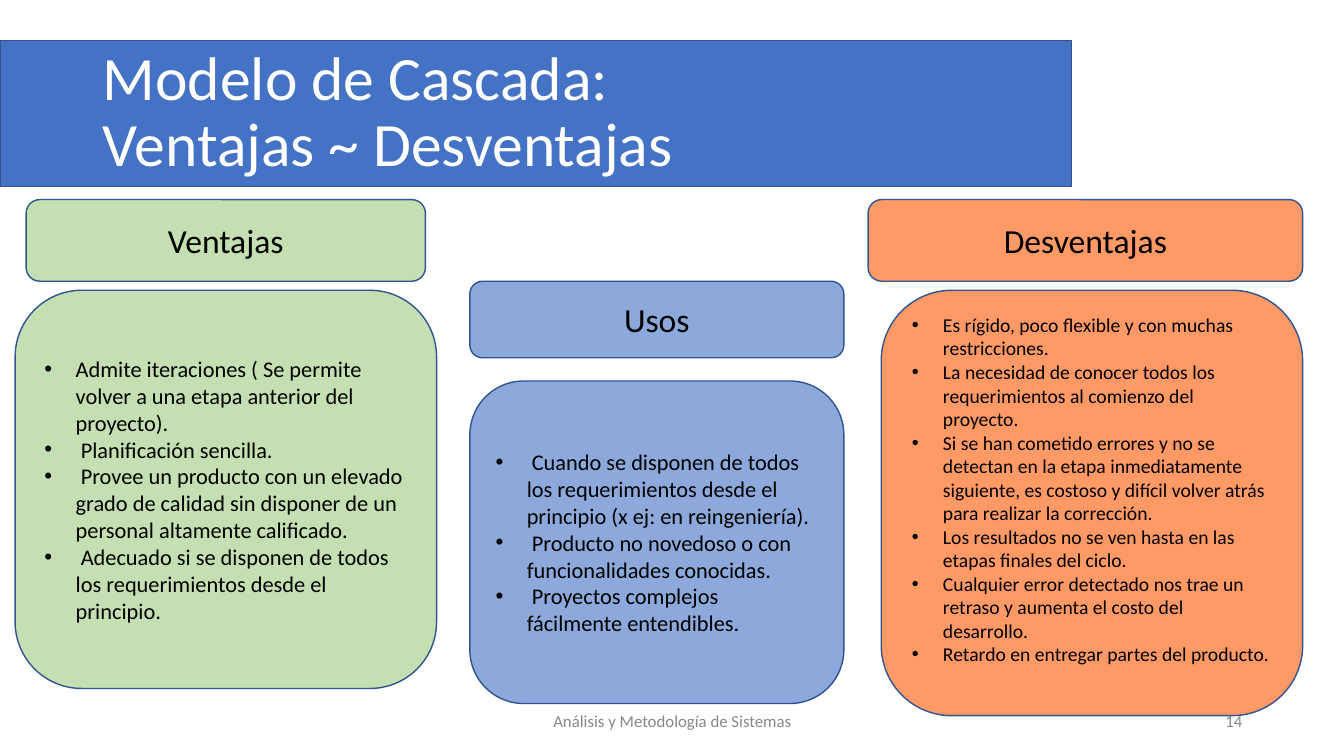
from dataclasses import dataclass

from lxml import etree
from pptx import Presentation
from pptx import util as u
from pptx.dml.color import RGBColor
from pptx.enum import shapes, text
from pptx.oxml.ns import qn

PX = u.Inches(0.01)
INSET_X, INSET_Y = 10, 5
BULLET_INDENT = 31
CORNER = 0.167


@dataclass(frozen=True)
class Theme:
    font: str = "Calibri"
    banner: str = "4472C4"
    outline: str = "31538F"
    green: str = "C4E0B2"
    blue: str = "8DA9DB"
    orange: str = "FF9966"
    ink: str = "000000"
    white: str = "FFFFFF"
    muted: str = "888888"
    title_size: int = 44
    heading_size: int = 24
    body_size: int = 16
    dense_size: int = 14
    footer_size: int = 12


THEME = Theme()

ADVANTAGES = [
    "Admite iteraciones ( Se permite volver a una etapa anterior del proyecto).",
    " Planificación sencilla.",
    " Provee un producto con un elevado grado de calidad sin disponer de un "
    "personal altamente calificado.",
    " Adecuado si se disponen de todos los requerimientos desde el principio.",
]
DRAWBACKS = [
    "Es rígido, poco flexible y con muchas restricciones.",
    "La necesidad de conocer todos los requerimientos al comienzo del proyecto.",
    "Si se han cometido errores y no se detectan en la etapa inmediatamente "
    "siguiente, es costoso y difícil volver atrás para realizar la corrección.",
    "Los resultados no se ven hasta en las etapas finales del ciclo.",
    "Cualquier error detectado nos trae un retraso y aumenta el costo del desarrollo.",
    "Retardo en entregar partes del producto.",
]
USES = [
    " Cuando se disponen de todos los requerimientos desde el principio "
    "(x ej: en reingeniería).",
    " Producto no novedoso o con funcionalidades conocidas.",
    " Proyectos complejos fácilmente entendibles.",
]


def emu(box):
    return [length * PX for length in box]


def add_bullet(paragraph):
    properties = paragraph._p.get_or_add_pPr()
    properties.set("marL", str(BULLET_INDENT * PX))
    properties.set("indent", str(-BULLET_INDENT * PX))
    etree.SubElement(properties, qn("a:buFont"), typeface="Arial")
    etree.SubElement(properties, qn("a:buChar"), char="•")


def write(frame, lines, size, color, align, bullets=False, extra_bottom=0):
    """Fill a vertically centred frame; extra_bottom lifts its text."""
    frame.word_wrap = True
    frame.auto_size = text.MSO_AUTO_SIZE.NONE
    frame.vertical_anchor = text.MSO_ANCHOR.MIDDLE
    frame.margin_left = frame.margin_right = INSET_X * PX
    frame.margin_top = INSET_Y * PX
    frame.margin_bottom = (INSET_Y + extra_bottom) * PX
    for index, line in enumerate(lines):
        paragraph = frame.add_paragraph() if index else frame.paragraphs[0]
        paragraph.text = line
        paragraph.alignment = align
        if bullets:
            add_bullet(paragraph)
        paragraph.font.name = THEME.font
        paragraph.font.size = u.Pt(size)
        paragraph.font.color.rgb = RGBColor.from_string(color)


def add_panel(slide, kind, box, fill):
    panel = slide.shapes.add_shape(kind, *emu(box))
    panel.shadow.inherit = False
    panel.fill.solid()
    panel.fill.fore_color.rgb = RGBColor.from_string(fill)
    panel.line.color.rgb = RGBColor.from_string(THEME.outline)
    panel.line.width = u.Pt(1)
    return panel


def add_card(slide, box, fill):
    card = add_panel(slide, shapes.MSO_SHAPE.ROUNDED_RECTANGLE, box, fill)
    card.adjustments[0] = CORNER
    return card


def add_heading(slide, box, fill, label):
    card = add_card(slide, box, fill)
    write(card.text_frame, [label], THEME.heading_size, THEME.ink, text.PP_ALIGN.CENTER)


def add_list(slide, box, fill, items, size=THEME.body_size, extra_bottom=0):
    card = add_card(slide, box, fill)
    write(card.text_frame, items, size, THEME.ink, text.PP_ALIGN.LEFT,
          bullets=True, extra_bottom=extra_bottom)


def add_title(slide, box, label):
    title = slide.shapes.title
    title.left, title.top, title.width, title.height = emu(box)
    write(title.text_frame, [label], THEME.title_size, THEME.white, text.PP_ALIGN.LEFT)
    title.text_frame.paragraphs[0].line_spacing = 0.9
    # The title placeholder comes first in the tree; bring it above the banner.
    slide.shapes.element.append(title.element)


def add_footer(slide, box, label, align):
    footer = slide.shapes.add_textbox(*emu(box))
    write(footer.text_frame, [label], THEME.footer_size, THEME.muted, align)


def main():
    deck = Presentation()
    deck.slide_width, deck.slide_height = emu((1333, 750))
    slide = deck.slides.add_slide(deck.slide_layouts[5])

    add_panel(slide, shapes.MSO_SHAPE.RECTANGLE, (0, 40, 1063, 145), THEME.banner)
    add_title(slide, (92, 40, 972, 145), "Modelo de Cascada:\vVentajas ~ Desventajas")
    add_footer(slide, (442, 695, 450, 40), "Análisis y Metodología de Sistemas",
               text.PP_ALIGN.CENTER)
    add_footer(slide, (942, 695, 300, 40), "14", text.PP_ALIGN.RIGHT)

    add_heading(slide, (26, 198, 396, 81), THEME.green, "Ventajas")
    add_heading(slide, (861, 198, 431, 81), THEME.orange, "Desventajas")
    add_list(slide, (15, 288, 418, 395), THEME.green, ADVANTAGES)
    add_list(slide, (874, 288, 418, 422), THEME.orange, DRAWBACKS,
             size=THEME.dense_size, extra_bottom=27)
    add_heading(slide, (466, 279, 371, 76), THEME.blue, "Usos")
    add_list(slide, (466, 378, 371, 320), THEME.blue, USES)

    deck.save("out.pptx")


if __name__ == "__main__":
    main()
